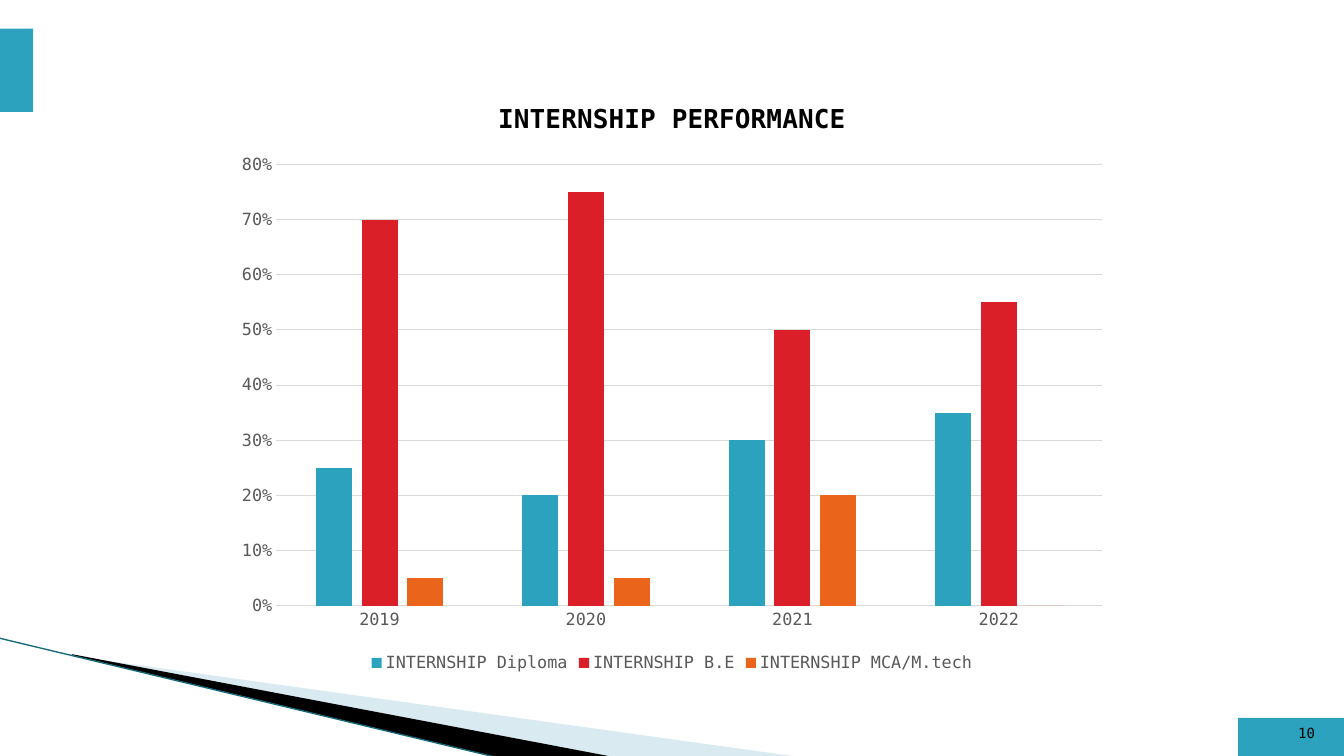
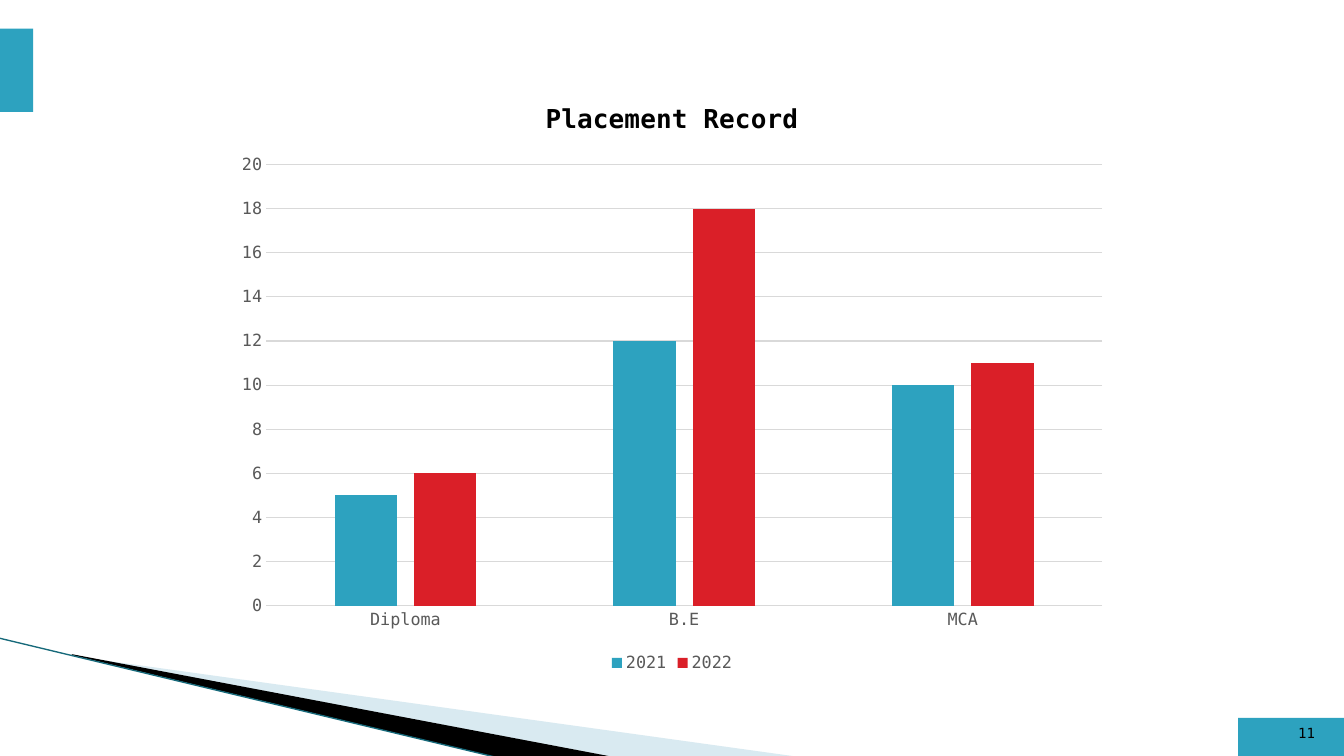
from pptx import Presentation
from pptx.chart.data import CategoryChartData
from pptx.dml.color import RGBColor
from pptx.enum.chart import XL_CHART_TYPE, XL_LEGEND_POSITION, XL_TICK_MARK
from pptx.enum.shapes import MSO_CONNECTOR, MSO_SHAPE
from pptx.enum.text import MSO_ANCHOR, PP_ALIGN
from pptx.oxml.ns import qn
from pptx.util import Inches, Pt
from lxml import etree

COLUMN = XL_CHART_TYPE.COLUMN_CLUSTERED
BOTTOM = XL_LEGEND_POSITION.BOTTOM
NO_TICK = XL_TICK_MARK.NONE
STRAIGHT = MSO_CONNECTOR.STRAIGHT
RECT = MSO_SHAPE.RECTANGLE
LOW = MSO_ANCHOR.BOTTOM
RIGHT = PP_ALIGN.RIGHT

WIDTH, HEIGHT = Inches(13.33), Inches(7.5)
FONT = "DejaVu Sans Mono"
COLORS = {"teal": "2DA2BF", "red": "DA1F28", "orange": "EB641B",
          "pale": "A0CBDC", "edge": "16697A", "black": "000000",
          "gray": "595959", "grid": "D9D9D9"}
SERIES = ("teal", "red", "orange")
FORMATS = {
    "base": {"name": FONT, "size": Pt(10)},
    "label": {"name": FONT, "size": Pt(12), "bold": False},
    "title": {"name": FONT, "size": Pt(18.6), "bold": True},
    "legend": {"position": BOTTOM, "include_in_layout": False},
    "axis": {"major_tick_mark": NO_TICK, "minor_tick_mark": NO_TICK},
    "plot": {"gap_width": 219, "overlap": -27, "vary_by_categories": False},
}
BOXES = {"tab": (0, 3.8, 2.46, 11), "band": (92.12, 94.97, 7.88, 5.03),
         "number": (94.6, 93.4, 3.98, 5.33),
         "chart": (16.67, 10.47, 66.67, 79.07),
         "pale": (7.8, 72.93, 41.56, 21.07),
         "black": (-0.6, 84.4, 41.56, 12.27)}
WEDGES = (
    ("pale", 40, ((5.48, 86.8), (59.45, 100.13), (45.6, 100.13),
                  (5.48, 86.67))),
    ("black", 100, ((5.33, 86.53), (45.65, 100.13), (37.2, 100.27),
                    (5.4, 86.67))),
)
SLIDES = (
    {"page": 10, "title": "INTERNSHIP PERFORMANCE", "format": "0%",
     "scale": {"minimum_scale": 0, "maximum_scale": 0.8, "major_unit": 0.1},
     "cats": ("2019", "2020", "2021", "2022"),
     "series": {"INTERNSHIP Diploma": (0.25, 0.2, 0.3, 0.35),
                "INTERNSHIP B.E": (0.7, 0.75, 0.5, 0.55),
                "INTERNSHIP MCA/M.tech": (0.05, 0.05, 0.2, 0)}},
    {"page": 11, "title": "Placement Record", "format": "General",
     "scale": {"minimum_scale": 0, "maximum_scale": 20, "major_unit": 2},
     "cats": ("Diploma", "B.E", "MCA"),
     "series": {"2021": (5, 12, 10), "2022": (6, 18, 11)}},
)


def apply(target, values):
    """Set each attribute named in a dict of format values."""
    for name, value in values.items():
        setattr(target, name, value)


def rgb(name):
    """Return a palette colour."""
    return RGBColor.from_string(COLORS[name])


def style(font, kind, color):
    """Give a font one of the shared formats and a colour."""
    apply(font, FORMATS[kind])
    font.color.rgb = rgb(color)


def point(x, y):
    """Turn percent shares of the slide into lengths."""
    return round(WIDTH * x / 100), round(HEIGHT * y / 100)


def place(box):
    """Turn a percent box into left, top, width and height."""
    return point(*box[:2]) + point(*box[2:])


def paint(shape, color, alpha=100):
    """Fill a shape flat, without outline or shadow."""
    shape.shadow.inherit = False
    shape.line.fill.background()
    shape.fill.solid()
    shape.fill.fore_color.rgb = rgb(color)
    if alpha < 100:
        tone = shape.element.spPr.find(".//" + qn("a:srgbClr"))
        etree.SubElement(tone, qn("a:alpha")).set("val", str(alpha * 1000))


def rule(line, color, width):
    """Set the colour and width of a line."""
    line.color.rgb = rgb(color)
    line.width = Pt(width)


def reframe(shape, box):
    """Give an outline a new frame while its points stay in place."""
    left, top, wide, high = place(box)
    shift = {"x": shape.left - left, "y": shape.top - top}
    for spot in shape.element.iter(qn("a:pt")):
        for key, step in shift.items():
            spot.set(key, str(int(spot.get(key)) + step))
    trace = shape.element.spPr.find(".//" + qn("a:path"))
    trace.set("w", str(wide))
    trace.set("h", str(high))
    apply(shape, {"left": left, "top": top, "width": wide, "height": high})


def add_sweep(slide):
    """Draw the corner wedges and the thin line along them."""
    for color, alpha, points in WEDGES:
        first, *rest = [point(*pair) for pair in points]
        pen = slide.shapes.build_freeform(*first)
        pen.add_line_segments(rest, close=True)
        wedge = pen.convert_to_shape()
        reframe(wedge, BOXES[color])
        paint(wedge, color, alpha)
    edge = slide.shapes.add_connector(
        STRAIGHT, *point(-0.08, 84.4), *point(37.15, 100.27))
    rule(edge.line, "edge", 0.95)
    etree.SubElement(edge.element.spPr, qn("a:effectLst"))


def add_frame(slide, page):
    """Draw the sweep, the side tab and the page number band."""
    add_sweep(slide)
    for name in ("band", "tab"):
        paint(slide.shapes.add_shape(RECT, *place(BOXES[name])), "teal")
    frame = slide.shapes.add_textbox(*place(BOXES["number"])).text_frame
    apply(frame, {"word_wrap": True, "vertical_anchor": LOW})
    para = frame.paragraphs[0]
    para.alignment = RIGHT
    run = para.add_run()
    run.text = str(page)
    style(run.font, "base", "black")


def style_axes(chart, item):
    """Format both axes and the grid of a chart."""
    cat, val = chart.category_axis, chart.value_axis
    for axis in (cat, val):
        apply(axis, FORMATS["axis"])
        style(axis.tick_labels.font, "label", "gray")
    rule(cat.format.line, "grid", 0.75)
    rule(val.major_gridlines.format.line, "grid", 0.75)
    val.format.line.fill.background()
    apply(val, item["scale"])
    apply(val.tick_labels, {"number_format": item["format"],
                            "number_format_is_linked": False})


def add_bars(slide, item, box):
    """Place a titled column chart in the given box."""
    data = CategoryChartData(number_format=item["format"])
    data.categories = item["cats"]
    for name, values in item["series"].items():
        data.add_series(name, values)
    chart = slide.shapes.add_chart(COLUMN, *place(box), data).chart
    style(chart.font, "base", "black")
    frame = chart.chart_title.text_frame
    frame.text = item["title"]
    style(frame.paragraphs[0].runs[0].font, "title", "black")
    chart.chart_title.include_in_layout = False
    chart.has_legend = True
    apply(chart.legend, FORMATS["legend"])
    style(chart.legend.font, "label", "gray")
    style_axes(chart, item)
    plot = chart.plots[0]
    apply(plot, FORMATS["plot"])
    for series, color in zip(plot.series, SERIES):
        series.format.fill.solid()
        series.format.fill.fore_color.rgb = rgb(color)


def main():
    """Build and save the slides."""
    deck = Presentation()
    apply(deck, {"slide_width": WIDTH, "slide_height": HEIGHT})
    for item in SLIDES:
        slide = deck.slides.add_slide(deck.slide_layouts[6])
        add_frame(slide, item["page"])
        add_bars(slide, item, BOXES["chart"])
    deck.save("out.pptx")


if __name__ == "__main__":
    main()
